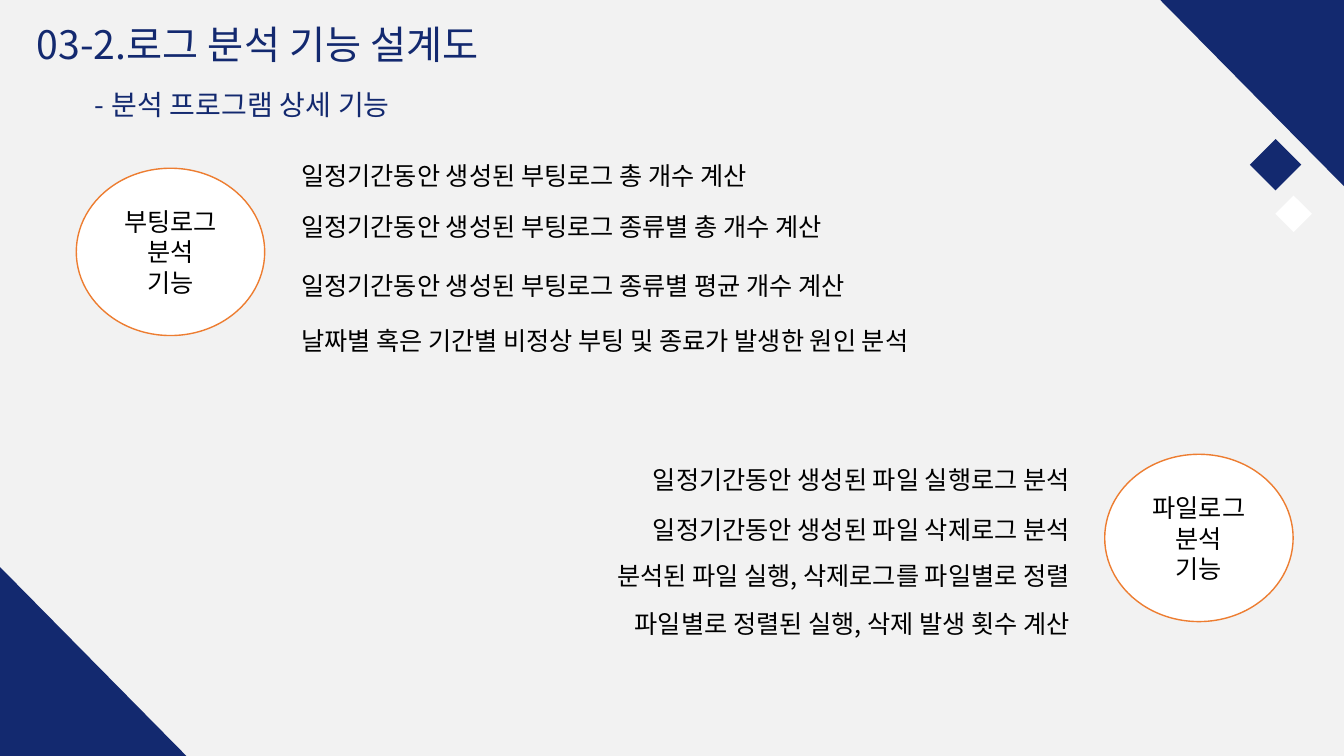
from lxml.etree import SubElement
from pptx import Presentation
from pptx.dml.color import RGBColor
from pptx.enum.shapes import MSO_SHAPE as Kind
from pptx.enum.text import MSO_ANCHOR as Anchor, MSO_AUTO_SIZE as Auto, PP_ALIGN as Align
from pptx.oxml.ns import qn
from pptx.util import Pt

FONT = "Noto Sans CJK KR"
INK = {"back": "F2F2F2", "navy": "13296F", "white": "FFFFFF",
       "ring": "ED7D31", "text": "000000"}

BOOT = [(110.9, "일정기간동안 생성된 부팅로그 총 개수 계산"),
        (147.6, "일정기간동안 생성된 부팅로그 종류별 총 개수 계산"),
        (189.4, "일정기간동안 생성된 부팅로그 종류별 평균 개수 계산"),
        (229, "날짜별 혹은 기간별 비정상 부팅 및 종료가 발생한 원인 분석")]
FILES = [(328.3, "일정기간동안 생성된 파일 실행로그 분석"),
         (363.6, "일정기간동안 생성된 파일 삭제로그 분석"),
         (396.7, "분석된 파일 실행, 삭제로그를 파일별로 정렬"),
         (430.6, "파일별로 정렬된 실행, 삭제 발생 횟수 계산")]


def paint(fill, ink):
    fill.solid()
    fill.fore_color.rgb = RGBColor.from_string(INK[ink])


def style(para, size, ink, align):
    """Set the font for Latin and Korean text alike."""
    para.alignment = align
    font = para.font
    font.size = Pt(size)
    font.name = FONT
    font.color.rgb = RGBColor.from_string(INK[ink])
    SubElement(font._element, qn("a:ea"), typeface=FONT)


def add_shape(slide, kind, box, ink, turn=0):
    shape = slide.shapes.add_shape(kind, *map(Pt, box))
    shape.shadow.inherit = False
    shape.rotation = turn
    paint(shape.fill, ink)
    shape.line.fill.background()
    return shape


def add_badge(slide, left, top, words):
    badge = add_shape(slide, Kind.OVAL, (left, top, 134.6, 119.5), "white")
    paint(badge.line.fill, "ring")
    badge.line.width = Pt(1)
    frame = badge.text_frame
    frame.vertical_anchor = Anchor.MIDDLE
    frame.text = "\n".join(words)
    for para in frame.paragraphs:
        style(para, 18, "text", Align.CENTER)


def add_text(slide, box, text, size, ink, align=Align.LEFT):
    frame = slide.shapes.add_textbox(*map(Pt, box)).text_frame
    frame.word_wrap = True
    frame.auto_size = Auto.SHAPE_TO_FIT_TEXT
    frame.text = text
    style(frame.paragraphs[0], size, ink, align)
    return frame


def add_head(slide, box, text, size):
    """Add a tight one-line heading without margins."""
    frame = add_text(slide, box, text, size, "navy")
    frame.word_wrap = False
    frame.vertical_anchor = Anchor.MIDDLE
    frame.margin_left = frame.margin_right = 0
    frame.margin_top = frame.margin_bottom = 0
    para = frame.paragraphs[0]
    para.line_spacing = 0.9
    para.font._element.set("spc", "10")


def add_list(slide, left, width, items, align):
    for top, text in items:
        add_text(slide, (left, top, width, 29), text, 18, "text", align)


def main():
    deck = Presentation()
    deck.slide_width, deck.slide_height = Pt(960), Pt(540)
    slide = deck.slides.add_slide(deck.slide_layouts[6])
    paint(slide.background.fill, "back")

    add_shape(slide, Kind.RIGHT_TRIANGLE, (827.3, -1.5, 133.2, 135), "navy", 180)
    add_shape(slide, Kind.DIAMOND, (911, 139.7, 26, 26), "white")
    add_shape(slide, Kind.RIGHT_TRIANGLE, (0, 405, 133.2, 135), "navy")
    add_shape(slide, Kind.DIAMOND, (892.8, 99.3, 36.7, 36.7), "navy")

    add_head(slide, (26, 18, 365, 30.2), "03-2.로그 분석 기능 설계도", 28)
    add_head(slide, (67.7, 65.5, 250.6, 21.6), "- 분석 프로그램 상세 기능", 20)

    add_badge(slide, 54.5, 120.2, ["부팅로그", "분석", "기능"])
    add_list(slide, 208, 525, BOOT, Align.LEFT)
    add_badge(slide, 789.1, 324.5, ["파일로그", "분석", "기능"])
    add_list(slide, 263.5, 507.6, FILES, Align.RIGHT)

    deck.save("out.pptx")


if __name__ == "__main__":
    main()
